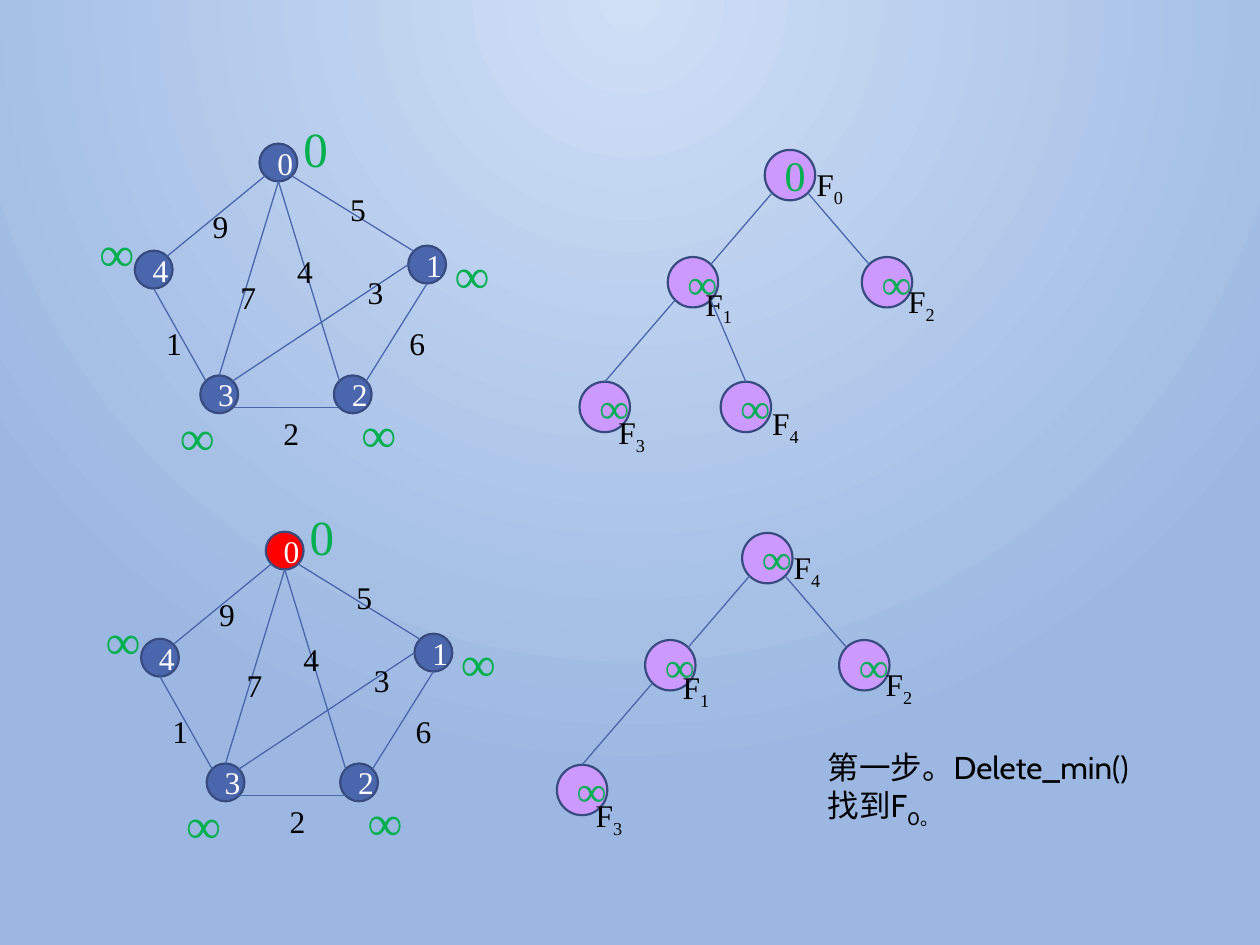
"""Build a slide showing the first Delete_min step on a graph and its heap."""
import math
from dataclasses import dataclass

import lxml.etree
import pptx
import pptx.dml.color
import pptx.enum.shapes
import pptx.enum.text
import pptx.oxml.ns
import pptx.util
from pptx.util import Inches

COLORS = {
    "glow": "CFDFF6", "sky": "9CB8E2", "blue": "4A66AC", "outline": "374B7F",
    "red": "FF0000", "violet": "CC99FF", "green": "00B050",
    "white": "FFFFFF", "black": "000000",
}
SERIF = "Times New Roman"
SIDES = {
    "top": -90, "top left": -135, "left": 180, "bottom left": 135,
    "bottom": 90, "bottom right": 45, "right": 0, "top right": -45,
}


@dataclass(frozen=True)
class Circle:
    left: float
    top: float
    size: float

    def site(self, side: str) -> tuple[float, float]:
        """Return the point of the outline on the named side."""
        angle, radius = math.radians(SIDES[side]), self.size / 2
        return (self.left + radius * (1 + math.cos(angle)),
                self.top + radius * (1 + math.sin(angle)))


@dataclass(frozen=True)
class Edge:
    start: str
    start_side: str
    end: str
    end_side: str


@dataclass(frozen=True)
class Label:
    text: str
    left: float
    top: float


@dataclass(frozen=True)
class HeapNode:
    left: float
    top: float
    label_left: float
    label_top: float


VERTICES = {
    "0": Circle(2.06, 1.14, 0.3), "4": Circle(1.07, 1.99, 0.3),
    "3": Circle(1.59, 2.98, 0.3), "2": Circle(2.65, 2.98, 0.3),
    "1": Circle(3.24, 1.95, 0.3),
}
GRAPH_EDGES = [
    Edge("0", "bottom left", "4", "top right"),
    Edge("3", "top left", "4", "bottom"),
    Edge("1", "top left", "0", "bottom right"),
    Edge("2", "bottom left", "3", "bottom right"),
    Edge("1", "bottom", "2", "top right"),
    Edge("2", "top left", "0", "bottom"),
    Edge("3", "top", "0", "bottom"),
    Edge("1", "left", "3", "top right"),
]
WEIGHTS = [
    Label("9", 1.59, 1.59), Label("5", 2.68, 1.46), Label("4", 2.26, 1.95),
    Label("7", 1.81, 2.16), Label("1", 1.22, 2.52), Label("2", 2.15, 3.24),
    Label("3", 2.82, 2.12), Label("6", 3.15, 2.52),
]
DISTANCES = [
    Label("∞", 0.69, 1.72), Label("0", 2.31, 0.89), Label("∞", 1.33, 3.18),
    Label("∞", 3.51, 1.89), Label("∞", 2.77, 3.15),
]
HEAP = {
    "root": HeapNode(6.07, 1.19, 6.38, 1.26),
    "1": HeapNode(5.3, 2.04, 5.5, 2.21),
    "2": HeapNode(6.84, 2.04, 7.11, 2.19),
    "3": HeapNode(4.6, 3.03, 4.81, 3.23),
    "4": HeapNode(5.72, 3.03, 6.03, 3.16),
}
HEAP_EDGES = [
    Edge("1", "top right", "root", "bottom left"),
    Edge("2", "top left", "root", "bottom right"),
    Edge("4", "top", "1", "bottom right"),
    Edge("3", "top", "1", "bottom left"),
]


def rgb(name: str) -> pptx.dml.color.RGBColor:
    """Return a palette colour."""
    return pptx.dml.color.RGBColor.from_string(COLORS[name])


def format_run(run, size: int, color: str, font: str = SERIF, subscript: bool = False) -> None:
    """Set the font of a run."""
    run.font.size = pptx.util.Pt(size)
    run.font.name = font
    run.font.color.rgb = rgb(color)
    if subscript:
        run.font._element.set("baseline", "-25000")


def draw_circle(shapes, circle: Circle, text: str, fill: str, size: int, color: str) -> None:
    """Draw a filled circle with its text."""
    shape = shapes.add_shape(
        pptx.enum.shapes.MSO_SHAPE.OVAL, Inches(circle.left), Inches(circle.top),
        Inches(circle.size), Inches(circle.size))
    shape.shadow.inherit = False
    shape.fill.solid()
    shape.fill.fore_color.rgb = rgb(fill)
    shape.line.color.rgb = rgb("outline")
    shape.line.width = pptx.util.Pt(1.25)
    shape.text_frame.text = text
    paragraph = shape.text_frame.paragraphs[0]
    paragraph.alignment = pptx.enum.text.PP_ALIGN.CENTER
    format_run(paragraph.runs[0], size, color)


def draw_edge(shapes, edge: Edge, circles: dict[str, Circle]) -> None:
    """Draw a thin line between two circles."""
    start = circles[edge.start].site(edge.start_side)
    end = circles[edge.end].site(edge.end_side)
    connector = shapes.add_connector(
        pptx.enum.shapes.MSO_CONNECTOR.STRAIGHT, *map(Inches, start + end))
    connector.line.color.rgb = rgb("blue")
    connector.line.width = pptx.util.Pt(0.75)
    lxml.etree.SubElement(connector._element.spPr, pptx.oxml.ns.qn("a:effectLst"))


def add_text(shapes, left: float, top: float, width: float, height: float, wrap: bool):
    """Add a text box and return its text frame."""
    box = shapes.add_textbox(Inches(left), Inches(top), Inches(width), Inches(height))
    box.text_frame.word_wrap = wrap
    box.text_frame.auto_size = pptx.enum.text.MSO_AUTO_SIZE.SHAPE_TO_FIT_TEXT
    return box.text_frame


def add_runs(paragraph, base: str, subscript: str, font: str) -> None:
    """Fill a paragraph with a base and a subscript."""
    for text, lowered in ((base, False), (subscript, True)):
        run = paragraph.add_run()
        run.text = text
        format_run(run, 18, "black", font, lowered)


def draw_graph(slide, right: float, down: float, source_fill: str) -> None:
    """Draw the weighted graph as a group, moved by the given distance."""
    shapes = slide.shapes.add_group_shape().shapes
    circles = {name: Circle(vertex.left + right, vertex.top + down, vertex.size)
               for name, vertex in VERTICES.items()}
    for name, circle in circles.items():
        draw_circle(shapes, circle, name, source_fill if name == "0" else "blue", 18, "white")
    for edge in GRAPH_EDGES:
        draw_edge(shapes, edge, circles)
    for labels, width, height, size, color, wrap in (
            (WEIGHTS, 0.33, 0.4, 18, "black", False),
            (DISTANCES, 0.4, 0.57, 28, "green", True)):
        for label in labels:
            frame = add_text(shapes, label.left + right, label.top + down, width, height, wrap)
            frame.text = label.text
            format_run(frame.paragraphs[0].runs[0], size, color)


def draw_heap(slide, right: float, down: float, root: str, root_value: str,
              names: list[str]) -> None:
    """Draw the heap nodes, their labels and the edges between them."""
    circles = {name: Circle(HEAP[name].left + right, HEAP[name].top + down, 0.4)
               for name in names}
    for name, circle in circles.items():
        value = root_value if name == "root" else "∞"
        draw_circle(slide.shapes, circle, value, "violet", 24, "green")
    for name in names:
        is_root = name == "root"
        frame = add_text(slide.shapes, HEAP[name].label_left + right,
                         HEAP[name].label_top + down, 0.55 if is_root else 0.43, 0.4, is_root)
        add_runs(frame.paragraphs[0], "F", root if is_root else name, SERIF)
    for edge in HEAP_EDGES:
        if edge.start in circles:
            draw_edge(slide.shapes, edge, circles)


def paint_background(slide) -> None:
    """Fill the background with a glow spreading from the top centre."""
    fill = slide.background.fill
    fill.gradient()
    for stop, color in zip(fill.gradient_stops, ("glow", "sky")):
        stop.color.rgb = rgb(color)
    gradient = slide._element.find(".//" + pptx.oxml.ns.qn("a:gradFill"))
    linear = gradient.find(pptx.oxml.ns.qn("a:lin"))
    radial = lxml.etree.Element(pptx.oxml.ns.qn("a:path"), {"path": "circle"})
    lxml.etree.SubElement(radial, pptx.oxml.ns.qn("a:fillToRect"),
                          {"l": "43000", "t": "0", "r": "43000", "b": "100000"})
    gradient.replace(linear, radial)


def main() -> None:
    """Build and save the presentation."""
    presentation = pptx.Presentation()
    presentation.slide_width, presentation.slide_height = Inches(10), Inches(7.5)
    slide = presentation.slides.add_slide(presentation.slide_layouts[6])
    paint_background(slide)
    draw_graph(slide, 0, 0, "blue")
    draw_heap(slide, 0, 0, "0", "0", list(HEAP))
    step = add_text(slide.shapes, 6.47, 5.89, 2.89, 0.71, True)
    step.text = "第一步。Delete_min()"
    format_run(step.paragraphs[0].runs[0], 18, "black", "Cabin")
    add_runs(step.add_paragraph(), "找到F", "0。", "Cabin")
    draw_graph(slide, 0.05, 3.08, "red")
    draw_heap(slide, -0.18, 3.04, "4", "∞", ["root", "1", "2", "3"])
    presentation.save("out.pptx")


if __name__ == "__main__":
    main()
